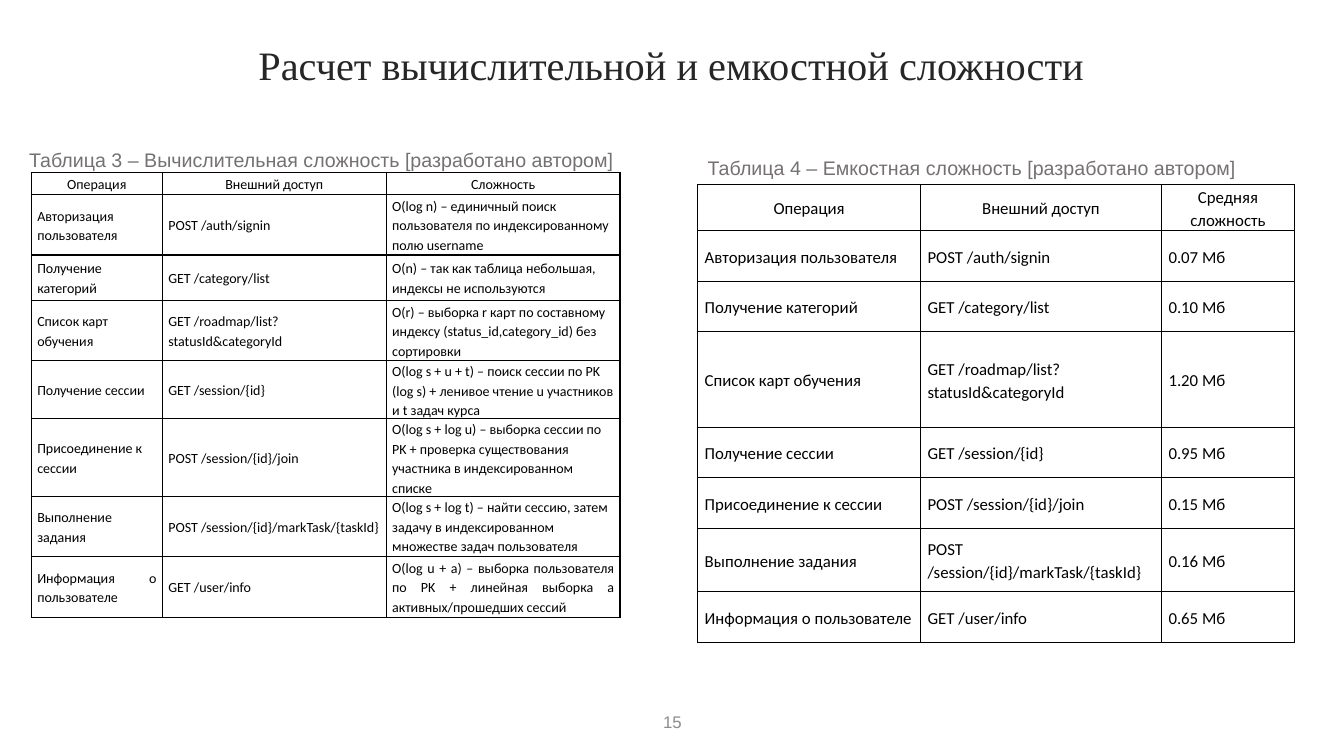
"""Build a slide with two tables on computational and storage complexity."""
from lxml.etree import SubElement
from pptx import Presentation
from pptx.dml.color import RGBColor
from pptx.enum.text import MSO_ANCHOR as ANCHOR, MSO_AUTO_SIZE as AUTO, PP_ALIGN as ALIGN
from pptx.oxml.ns import qn
from pptx.util import Emu, Pt

PX = 9144
BLACK = RGBColor(0x00, 0x00, 0x00)
DARK = RGBColor(0x26, 0x26, 0x26)
GRAY = RGBColor(0x76, 0x71, 0x71)
LIGHT = RGBColor(0x8C, 0x8C, 0x8C)

OPERATIONS = [
    ("Авторизация пользователя", "POST /auth/signin"),
    ("Получение категорий", "GET /category/list"),
    ("Список карт обучения", "GET /roadmap/list?statusId&categoryId"),
    ("Получение сессии", "GET /session/{id}"),
    ("Присоединение к сессии", "POST /session/{id}/join"),
    ("Выполнение задания", "POST /session/{id}/markTask/{taskId}"),
    ("Информация о пользователе", "GET /user/info"),
]
TIME = [
    "O(log n) – единичный поиск пользователя по индексированному полю username",
    "O(n) – так как таблица небольшая, индексы не используются",
    "O(r) – выборка r карт по составному индексу (status_id,category_id) без сортировки",
    "O(log s + u + t) – поиск сессии по PK (log s) + ленивое чтение u участников и t задач курса",
    "O(log s + log u) – выборка сессии по PK + проверка существования участника "
    "в индексированном списке",
    "O(log s + log t) – найти сессию, затем задачу в индексированном множестве "
    "задач пользователя",
    "O(log u + a) – выборка пользователя по PK + линейная выборка a "
    "активных/прошедших сессий",
]
MEMORY = ["0.07 Мб", "0.10 Мб", "1.20 Мб", "0.95 Мб", "0.15 Мб", "0.16 Мб", "0.65 Мб"]


def px(n):
    """Turn px into EMU."""
    return Emu(n * PX)


def write(tf, text, size, font, color, align=ALIGN.LEFT, spacing=1.0, after=0):
    """Write one formatted paragraph into a text frame."""
    p = tf.paragraphs[0]
    p.alignment, p.line_spacing, p.space_after = align, spacing, Pt(after)
    r = p.add_run()
    r.text = text
    r.font.size, r.font.name = Pt(size), font
    r.font.color.rgb = color


def add_title(s, text):
    """Place and fill the title placeholder."""
    title = s.shapes.title
    title.left, title.top, title.width, title.height = map(px, (228, 39, 876, 56))
    tf = title.text_frame
    tf.auto_size, tf.vertical_anchor = AUTO.NONE, ANCHOR.MIDDLE
    write(tf, text, 28.8, "Times New Roman", DARK, ALIGN.CENTER, 0.9)


def add_text(s, box, text, size, color, anchor=ANCHOR.TOP, **fmt):
    """Add a wrapping text box."""
    tf = s.shapes.add_textbox(*map(px, box)).text_frame
    tf.word_wrap, tf.vertical_anchor = True, anchor
    write(tf, text, size, "Arial", color, **fmt)


def add_borders(cell):
    """Draw a thin black line on every side of a cell."""
    tc_pr = cell._tc.get_or_add_tcPr()
    for side in ("lnL", "lnR", "lnT", "lnB"):
        ln = SubElement(tc_pr, qn(f"a:{side}"), w=str(Pt(1)))
        fill = SubElement(ln, qn("a:solidFill"))
        SubElement(fill, qn("a:srgbClr"), val=str(BLACK))


def add_grid(s, left, top, widths, heights, rows, size, inset, last_align=ALIGN.LEFT):
    """Add a bordered table with a centred header row."""
    shape = s.shapes.add_table(len(rows), len(widths), px(left), px(top),
                               px(sum(widths)), px(sum(heights)))
    table = shape.table
    table.first_row = table.horz_banding = False
    for column, width in zip(table.columns, widths):
        column.width = px(width)
    aligns = [ALIGN.CENTER] + [ALIGN.LEFT] * (len(rows) - 2) + [last_align]
    for i, (height, texts, align) in enumerate(zip(heights, rows, aligns)):
        table.rows[i].height = px(height)
        for j, text in enumerate(texts):
            cell = table.cell(i, j)
            add_borders(cell)
            cell.fill.background()
            cell.vertical_anchor = ANCHOR.MIDDLE
            cell.margin_left = cell.margin_right = px(inset)
            cell.margin_top = cell.margin_bottom = 0
            write(cell.text_frame, text, size, "Calibri", BLACK, align, 1.15, 10)


def with_header(name, values):
    """Join the shared operations with one column of values."""
    rows = [(*operation, value) for operation, value in zip(OPERATIONS, values)]
    return [("Операция", "Внешний доступ", name)] + rows


def main():
    """Build and save the slide."""
    prs = Presentation()
    prs.slide_width, prs.slide_height = px(1333), px(750)
    s = prs.slides.add_slide(prs.slide_layouts[5])
    add_title(s, "Расчет вычислительной и емкостной сложности")
    add_text(s, (517, 696, 300, 40), "15", 12, LIGHT, ANCHOR.MIDDLE, align=ALIGN.CENTER)
    add_text(s, (692, 152, 620, 39), "Таблица 4 – Емкостная сложность [разработано автором]",
             14, GRAY, spacing=0.9)
    add_grid(s, 692, 183, (221, 239, 132), (44, 50, 50, 95, 50, 50, 63, 50),
             with_header("Средняя сложность", MEMORY), 12, 7)
    add_grid(s, 31, 171, (130, 222, 232), (22, 60, 45, 60, 45, 60, 60, 60),
             with_header("Сложность", TIME), 10, 6, ALIGN.JUSTIFY)
    add_text(s, (19, 144, 620, 39), "Таблица 3 – Вычислительная сложность [разработано автором]",
             14, GRAY, spacing=0.9)
    prs.save("out.pptx")


if __name__ == "__main__":
    main()
